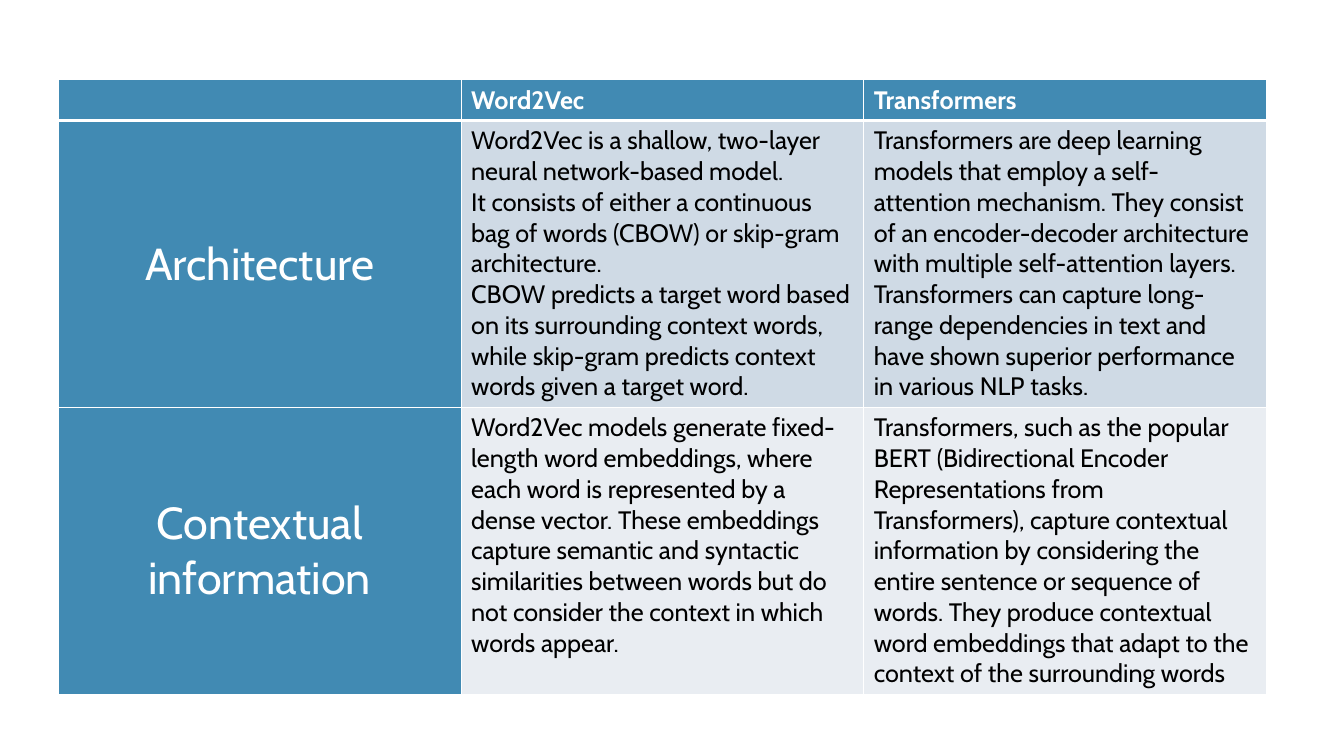
from dataclasses import dataclass

from lxml import etree
from pptx import Presentation
from pptx import util as u
from pptx.dml import color
from pptx.enum import text
from pptx.oxml import ns


@dataclass(frozen=True)
class Theme:
    font: str = "Cabin"
    accent: str = "418AB3"
    bands: tuple = ("CFDAE5", "E9EDF2")
    light: str = "FFFFFF"
    dark: str = "000000"
    body: int = 18
    label: int = 32
    thin: int = 1
    thick: int = 3


THEME = Theme()

ROWS = [
    ["", ["Word2Vec"], ["Transformers"]],
    [
        ["Architecture"],
        [
            "Word2Vec is a shallow, two-layer neural network-based model.",
            "It consists of either a continuous bag of words (CBOW) or skip-gram architecture.",
            "CBOW predicts a target word based on its surrounding context words, while "
            "skip-gram predicts context words given a target word.",
        ],
        [
            "Transformers are deep learning models that employ a self-attention mechanism. "
            "They consist of an encoder-decoder architecture with multiple self-attention "
            "layers. Transformers can capture long-range dependencies in text and have shown "
            "superior performance in various NLP tasks."
        ],
    ],
    [
        ["Contextual information"],
        [
            "Word2Vec models generate fixed-length word embeddings, where each word is "
            "represented by a dense vector. These embeddings capture semantic and syntactic "
            "similarities between words but do not consider the context in which words appear."
        ],
        [
            "Transformers, such as the popular BERT (Bidirectional Encoder Representations "
            "from Transformers), capture contextual information by considering the entire "
            "sentence or sequence of words. They produce contextual word embeddings that "
            "adapt to the context of the surrounding words"
        ],
    ],
]


def cell_format(row, column):
    if row == 0:
        return THEME.accent, THEME.light, {"size": u.Pt(THEME.body), "bold": True}
    if column == 0:
        return THEME.accent, THEME.light, {"size": u.Pt(THEME.label), "bold": False}
    return THEME.bands[row - 1], THEME.dark, {"size": u.Pt(THEME.body), "bold": False}


def set_borders(cell, widths):
    properties = cell._tc.get_or_add_tcPr()
    for index, (side, width) in enumerate(widths.items()):
        line = etree.Element(ns.qn(f"a:ln{side}"), w=str(u.Pt(width)))
        fill = etree.SubElement(line, ns.qn("a:solidFill"))
        etree.SubElement(fill, ns.qn("a:srgbClr"), val=THEME.light)
        properties.insert(index, line)


def fill_cell(cell, paragraphs, row, column):
    background, ink, font_format = cell_format(row, column)
    cell.fill.solid()
    cell.fill.fore_color.rgb = color.RGBColor.from_string(background)
    widths = dict.fromkeys("LRTB", THEME.thin)
    if row < 2:
        widths["B" if row == 0 else "T"] = THEME.thick
    set_borders(cell, widths)
    is_label = row > 0 and column == 0
    if is_label:
        cell.vertical_anchor = text.MSO_ANCHOR.MIDDLE
    frame = cell.text_frame
    for index, words in enumerate(paragraphs):
        para = frame.add_paragraph() if index else frame.paragraphs[0]
        para.alignment = text.PP_ALIGN.CENTER if is_label else text.PP_ALIGN.LEFT
        span = para.add_run()
        span.text = words
        for name, value in {"name": THEME.font, **font_format}.items():
            setattr(span.font, name, value)
        span.font.color.rgb = color.RGBColor.from_string(ink)


def add_comparison(page, left, top, width, height):
    header_height = u.Inches(0.4)
    table = page.shapes.add_table(len(ROWS), len(ROWS[0]), left, top, width, height).table
    for column in table.columns:
        column.width = int(width / len(ROWS[0]))
    for index, row in enumerate(table.rows):
        row.height = int((height - header_height) / (len(ROWS) - 1)) if index else header_height
    for row, entries in enumerate(ROWS):
        for column, paragraphs in enumerate(entries):
            fill_cell(table.cell(row, column), paragraphs, row, column)


def main():
    deck = Presentation()
    deck.slide_width, deck.slide_height = u.Inches(13.33), u.Inches(7.5)
    page = deck.slides.add_slide(deck.slide_layouts[6])
    add_comparison(page, u.Inches(0.58), u.Inches(0.79), u.Inches(11.98), u.Inches(6.08))
    deck.save("out.pptx")


if __name__ == "__main__":
    main()
